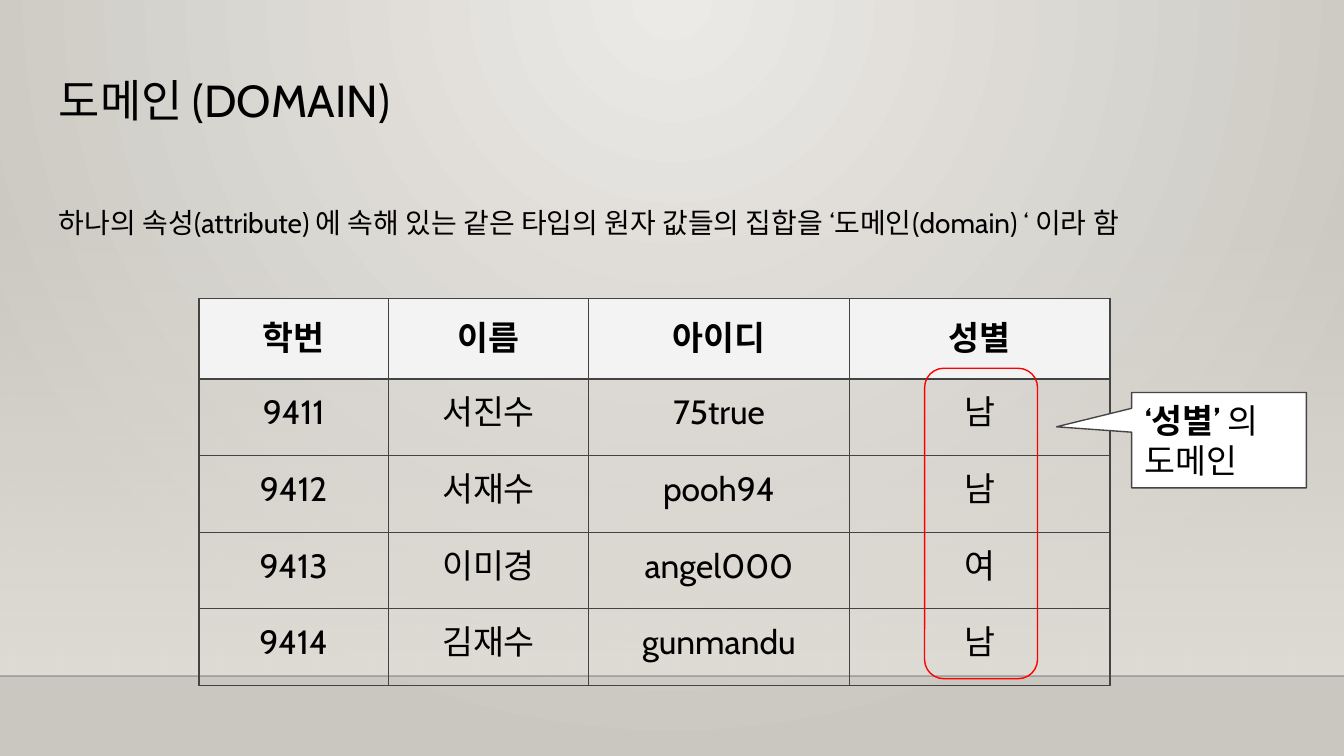
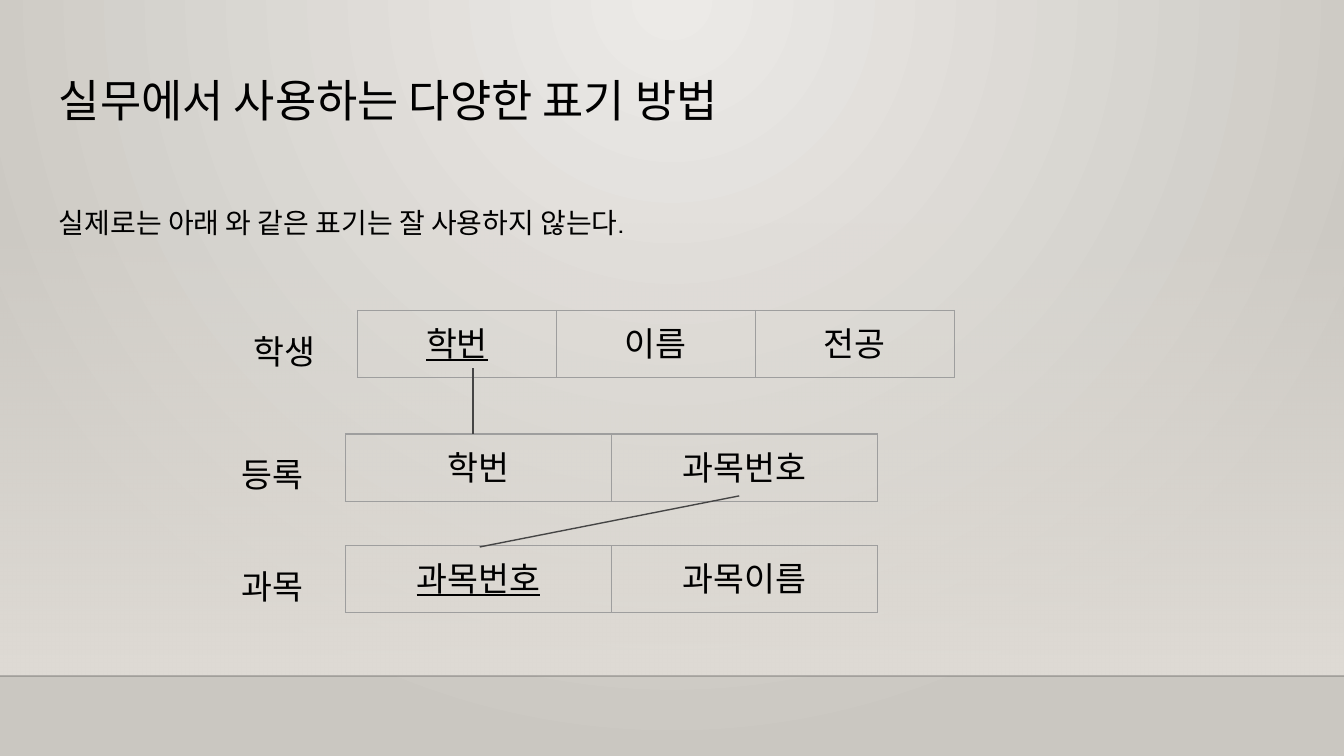
from dataclasses import dataclass
from typing import NamedTuple

from pptx import Presentation
from pptx.dml.color import RGBColor
from pptx.enum.shapes import MSO_CONNECTOR, MSO_SHAPE
from pptx.enum.text import MSO_ANCHOR, PP_ALIGN
from pptx.oxml import parse_xml
from pptx.oxml.ns import nsdecls, qn
from pptx.util import Inches, Pt


@dataclass(frozen=True)
class Theme:
    ink: str = "000000"
    light: str = "ECEAE7"
    dark: str = "CAC7C1"
    floor: str = "DFDBD5"
    edge: str = "000001"
    line: str = "454545"
    grid: str = "434343"
    pale: str = "9E9E9E"
    head: str = "F3F3F3"
    white: str = "FFFFFF"
    mark: str = "FF0000"
    font: str = "Cabin"
    label: str = "Open Sans"
    title: int = 24
    body: int = 15
    cell: int = 18
    thin: float = 0.75


class Box(NamedTuple):
    x: float
    y: float
    w: float
    h: float

    def emu(self) -> list:
        return [Inches(v) for v in self]


class Schema(NamedTuple):
    name: str
    x: float
    y: float
    col: float
    fields: list
    keyed: bool


class Link(NamedTuple):
    x1: float
    y1: float
    x2: float
    y2: float


T = Theme()
WIDE = 10
FLOOR = 5.03
PAD = Inches(0.1)

STUDENTS = [
    ["학번", "이름", "아이디", "성별"],
    ["9411", "서진수", "75true", "남"],
    ["9412", "서재수", "pooh94", "남"],
    ["9413", "이미경", "angel000", "여"],
    ["9414", "김재수", "gunmandu", "남"],
]
SCHEMAS = [
    Schema("학생", 2.66, 2.31, 1.48, ["학번", "이름", "전공"], True),
    Schema("과목", 2.57, 4.06, 1.98, ["과목번호", "과목이름"], True),
    Schema("등록", 2.57, 3.23, 1.98, ["학번", "과목번호"], False),
]
LINKS = [Link(3.52, 2.74, 3.52, 3.23), Link(5.5, 3.69, 3.57, 4.07)]


# Fills, lines and text
def rgb(code: str) -> RGBColor:
    return RGBColor.from_string(code)


def shade(node, first: str, last: str, alpha: int, way: str) -> None:
    """Swap the gradient found in node for one with the given stops and way."""
    old = next(node.iter(qn("a:gradFill")))
    new = parse_xml(
        f'<a:gradFill {nsdecls("a")} rotWithShape="1"><a:gsLst>'
        f'<a:gs pos="0"><a:srgbClr val="{first}"><a:alpha val="{alpha * 1000}"/></a:srgbClr></a:gs>'
        f'<a:gs pos="100000"><a:srgbClr val="{last}"/></a:gs>'
        f'</a:gsLst>{way}</a:gradFill>')
    old.getparent().replace(old, new)


def style(para, size: int, font: str = T.font, bold: bool = False) -> None:
    para.font.size = Pt(size)
    para.font.name = font
    para.font.bold = bold
    para.font.color.rgb = rgb(T.ink)
    # The same face for Korean text
    latin = next(para._p.iter(qn("a:latin")))
    latin.addnext(parse_xml(f'<a:ea {nsdecls("a")} typeface="{font}"/>'))


def inset(frame) -> None:
    frame.word_wrap = True
    frame.margin_left = frame.margin_right = PAD
    frame.margin_top = frame.margin_bottom = PAD


def write(slide, box: Box, text: str, size: int, font: str = T.font,
          lead: float = 1.0, after: int = 0) -> None:
    frame = slide.shapes.add_textbox(*box.emu()).text_frame
    inset(frame)
    para = frame.paragraphs[0]
    para.text = text
    para.line_spacing = lead
    para.space_after = Pt(after)
    style(para, size, font)


# Shapes and lines
def shape(slide, kind, box: Box, line: str, fill: str = ""):
    item = slide.shapes.add_shape(kind, *box.emu())
    item.shadow.inherit = False
    if fill:
        item.fill.solid()
        item.fill.fore_color.rgb = rgb(fill)
    else:
        item.fill.background()
    item.line.color.rgb = rgb(line)
    item.line.width = Pt(T.thin)
    return item


def rule(slide, link: Link, color: str = T.line, width: float = T.thin):
    item = slide.shapes.add_connector(
        MSO_CONNECTOR.STRAIGHT, *[Inches(v) for v in link])
    item.line.color.rgb = rgb(color)
    item.line.width = Pt(width)
    item._element.spPr.append(parse_xml(f'<a:effectLst {nsdecls("a")}/>'))
    return item


# Tables
def border(cell, color: str) -> None:
    props = cell._tc.get_or_add_tcPr()
    for side in ("lnL", "lnR", "lnT", "lnB"):
        props.append(parse_xml(
            f'<a:{side} {nsdecls("a")} w="{Pt(T.thin)}"><a:solidFill>'
            f'<a:srgbClr val="{color}"/></a:solidFill></a:{side}>'))


def grid(slide, x: float, y: float, cols: list, rows: list, data: list,
         color: str, head: bool = False, keyed: bool = False) -> None:
    box = Box(x, y, sum(cols), sum(rows))
    table = slide.shapes.add_table(len(rows), len(cols), *box.emu()).table
    table.first_row = table.horz_banding = False
    for col, wide in zip(table.columns, cols):
        col.width = Inches(wide)
    for r, (row, high) in enumerate(zip(table.rows, rows)):
        row.height = Inches(high)
        top = head and r == 0
        for c, cell in enumerate(row.cells):
            cell.margin_left = cell.margin_right = PAD
            cell.margin_top = cell.margin_bottom = PAD
            border(cell, color)
            if top:
                cell.fill.solid()
                cell.fill.fore_color.rgb = rgb(T.head)
            else:
                cell.fill.background()
            para = cell.text_frame.paragraphs[0]
            para.text = data[r][c]
            para.alignment = PP_ALIGN.CENTER
            para.line_spacing = 1.15 if top else 1.0
            style(para, T.cell, bold=top)
            para.font.underline = keyed and c == 0


# Shared page: floor band, edge, title and lead text
def page(prs, title: str, text: str, high: float):
    slide = prs.slides.add_slide(prs.slide_layouts[6])
    band = shape(slide, MSO_SHAPE.RECTANGLE,
                 Box(0, 1.66, WIDE, FLOOR - 1.66), T.floor)
    band.line.fill.background()
    band.fill.gradient()
    shade(band._element, T.floor, T.floor, 0, '<a:lin ang="5400000" scaled="0"/>')
    edge = rule(slide, Link(0, FLOOR, WIDE, FLOOR), T.edge, 1)
    tint = next(edge._element.iter(qn("a:srgbClr")))
    tint.append(parse_xml(f'<a:alpha {nsdecls("a")} val="20000"/>'))
    write(slide, Box(0.34, 0.49, 9.32, 0.77), title, T.title, lead=0.9)
    write(slide, Box(0.34, 1.38, 9.32, high), text, T.body, lead=1.2, after=16)
    return slide


def domain(prs) -> None:
    slide = page(prs, "도메인 (DOMAIN)",
                 "하나의 속성(attribute) 에 속해 있는 같은 타입의 원자 값들의 집합을 "
                 "‘도메인(domain) ‘ 이라 함", 0.95)
    grid(slide, 1.48, 2.22, [1.41, 1.49, 1.94, 1.94], [0.6] + [0.57] * 4,
         STUDENTS, T.grid, head=True)

    # Ring round the values, and its callout
    ring = shape(slide, MSO_SHAPE.ROUNDED_RECTANGLE,
                 Box(6.88, 2.74, 0.84, 2.31), T.mark)
    ring.adjustments[0] = 0.17
    note = shape(slide, MSO_SHAPE.RECTANGULAR_CALLOUT,
                 Box(8.42, 2.92, 1.3, 0.71), T.line, T.white)
    note.adjustments[0], note.adjustments[1] = -0.93, -0.14
    frame = note.text_frame
    inset(frame)
    frame.vertical_anchor = MSO_ANCHOR.MIDDLE
    first, last = frame.paragraphs[0], frame.add_paragraph()
    name = first.add_run()
    name.text = "‘성별’"
    name.font.bold = True
    first.add_run().text = " 의"
    last.text = "도메인"
    for para in (first, last):
        para.alignment = PP_ALIGN.LEFT
        style(para, T.cell)


def notation(prs) -> None:
    slide = page(prs, "실무에서 사용하는 다양한 표기 방법",
                 "실제로는 아래 와 같은 표기는 잘 사용하지 않는다.", 0.54)
    for item in SCHEMAS:
        grid(slide, item.x, item.y, [item.col] * len(item.fields), [0.42],
             [item.fields], T.pale, keyed=item.keyed)
        write(slide, Box(item.x - 0.87, item.y + 0.05, 0.68, 0.43),
              item.name, T.cell, T.label)
    for link in LINKS:
        rule(slide, link)


def main() -> None:
    prs = Presentation()
    prs.slide_width = Inches(WIDE)
    prs.slide_height = prs.slide_width * 9 // 16
    master = prs.slide_master
    master.background.fill.gradient()
    shade(master._element, T.light, T.dark, 100,
          '<a:path path="circle"><a:fillToRect l="43000" r="43000" b="100000"/></a:path>')
    domain(prs)
    notation(prs)
    prs.save("out.pptx")


if __name__ == "__main__":
    main()
